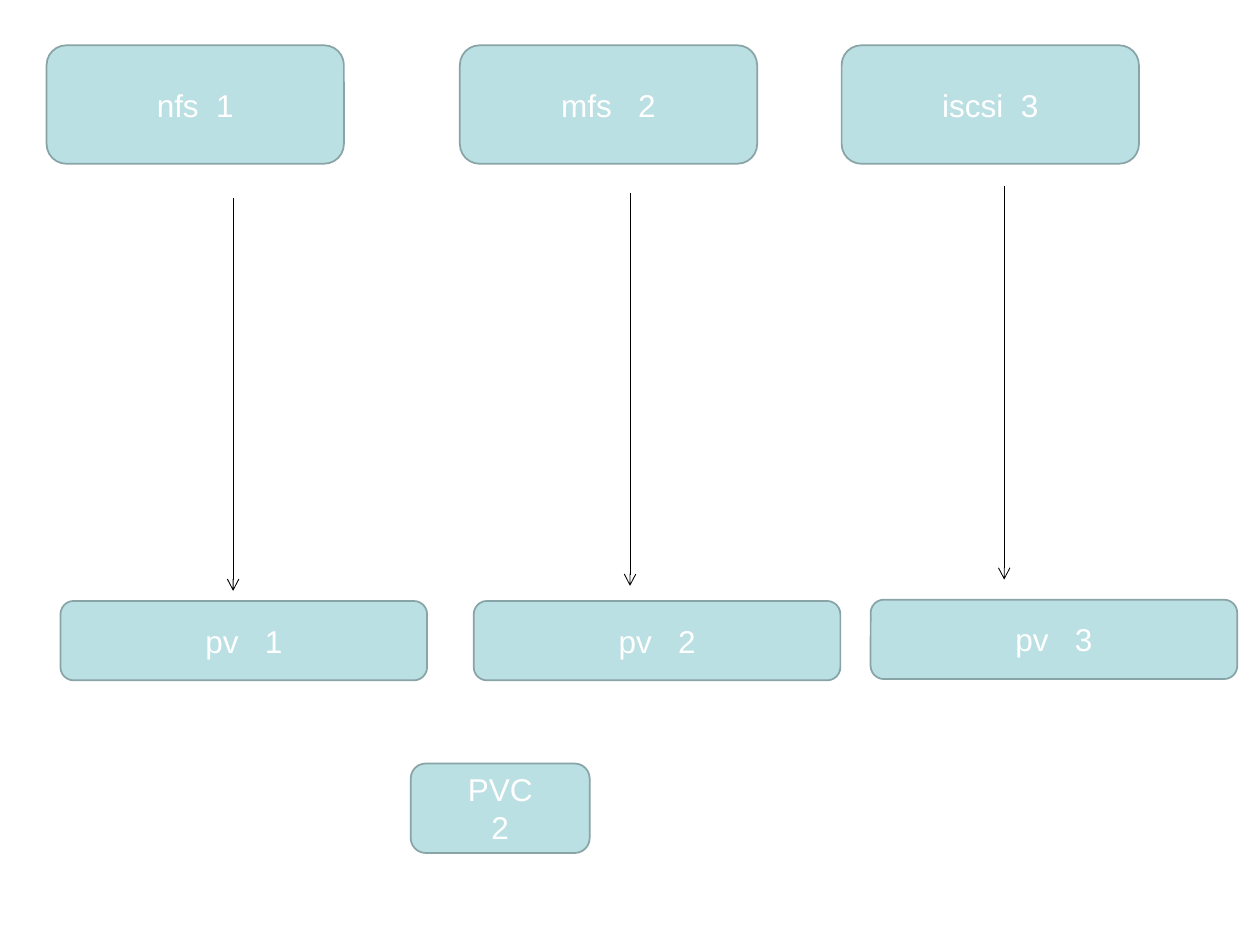
from dataclasses import dataclass

from lxml import etree
from pptx import Presentation
from pptx.dml.color import RGBColor
from pptx.enum import shapes, text
from pptx.oxml import ns
from pptx.util import Inches, Pt


@dataclass(frozen=True)
class Theme:
    fill: RGBColor = RGBColor(0xBB, 0xE0, 0xE3)
    border: RGBColor = RGBColor(0x89, 0xA4, 0xA7)
    label: RGBColor = RGBColor(0xFF, 0xFF, 0xFF)
    arrow: RGBColor = RGBColor(0, 0, 0)
    font: str = "Arial"
    size: int = 18
    border_width: float = 1
    arrow_width: float = 0.5


THEME = Theme()
STORAGE_SIZE = (2.36, 0.94)
VOLUME_SIZE = (2.91, 0.63)
CLAIM_SIZE = (1.42, 0.71)
STORAGE_TOP = 0.36
ARROW_LENGTH = 3.12

# Each column: storage name, extra gap in points before the number,
# storage left, volume left and top, arrow x and top
COLUMNS = [
    ("nfs", 5, 0.37, 0.48, 4.77, 1.85, 1.57),
    ("mfs", 10, 3.65, 3.76, 4.77, 5, 1.53),
    ("iscsi", 5, 6.68, 6.91, 4.76, 7.97, 1.48),
]


def add_box(slide, left, top, size, lines, gap=0):
    """Add a rounded box; gap widens each space in its lines, in points."""
    width, height = size
    sp = slide.shapes.add_shape(
        shapes.MSO_SHAPE.ROUNDED_RECTANGLE,
        Inches(left), Inches(top), Inches(width), Inches(height))
    sp.shadow.inherit = False
    sp.fill.solid()
    sp.fill.fore_color.rgb = THEME.fill
    sp.line.color.rgb = THEME.border
    sp.line.width = Pt(THEME.border_width)
    tf = sp.text_frame
    tf.word_wrap = True
    tf.vertical_anchor = text.MSO_ANCHOR.MIDDLE
    for i, line in enumerate(lines):
        p = tf.add_paragraph() if i else tf.paragraphs[0]
        write_line(p, line, gap)


def write_line(p, line, gap):
    p.alignment = text.PP_ALIGN.CENTER
    p.font.name = THEME.font
    p.font.size = Pt(THEME.size)
    p.font.color.rgb = THEME.label
    for part in line.partition(" "):
        if part:
            r = p.add_run()
            r.text = part
            if part == " ":
                r._r.get_or_add_rPr().set("spc", str(gap * 100))


def add_down_arrow(slide, x, top):
    line = slide.shapes.add_connector(
        shapes.MSO_CONNECTOR.STRAIGHT,
        Inches(x), Inches(top), Inches(x), Inches(top + ARROW_LENGTH))
    line.line.color.rgb = THEME.arrow
    line.line.width = Pt(THEME.arrow_width)
    ln = line.line._get_or_add_ln()
    etree.SubElement(ln, ns.qn("a:tailEnd"), type="arrow")
    etree.SubElement(line._element.spPr, ns.qn("a:effectLst"))


def main():
    prs = Presentation()
    prs.slide_width, prs.slide_height = Inches(10), Inches(7.5)
    slide = prs.slides.add_slide(prs.slide_layouts[6])
    for number, column in enumerate(COLUMNS, start=1):
        name, gap, storage_left, volume_left, volume_top, x, arrow_top = column
        add_box(slide, storage_left, STORAGE_TOP, STORAGE_SIZE,
                [f"{name} {number}"], gap)
        add_box(slide, volume_left, volume_top, VOLUME_SIZE,
                [f"pv {number}"], gap=10)
        add_down_arrow(slide, x, arrow_top)
    add_box(slide, 3.26, 6.06, CLAIM_SIZE, ["PVC", "2"])
    prs.save("out.pptx")


if __name__ == "__main__":
    main()
